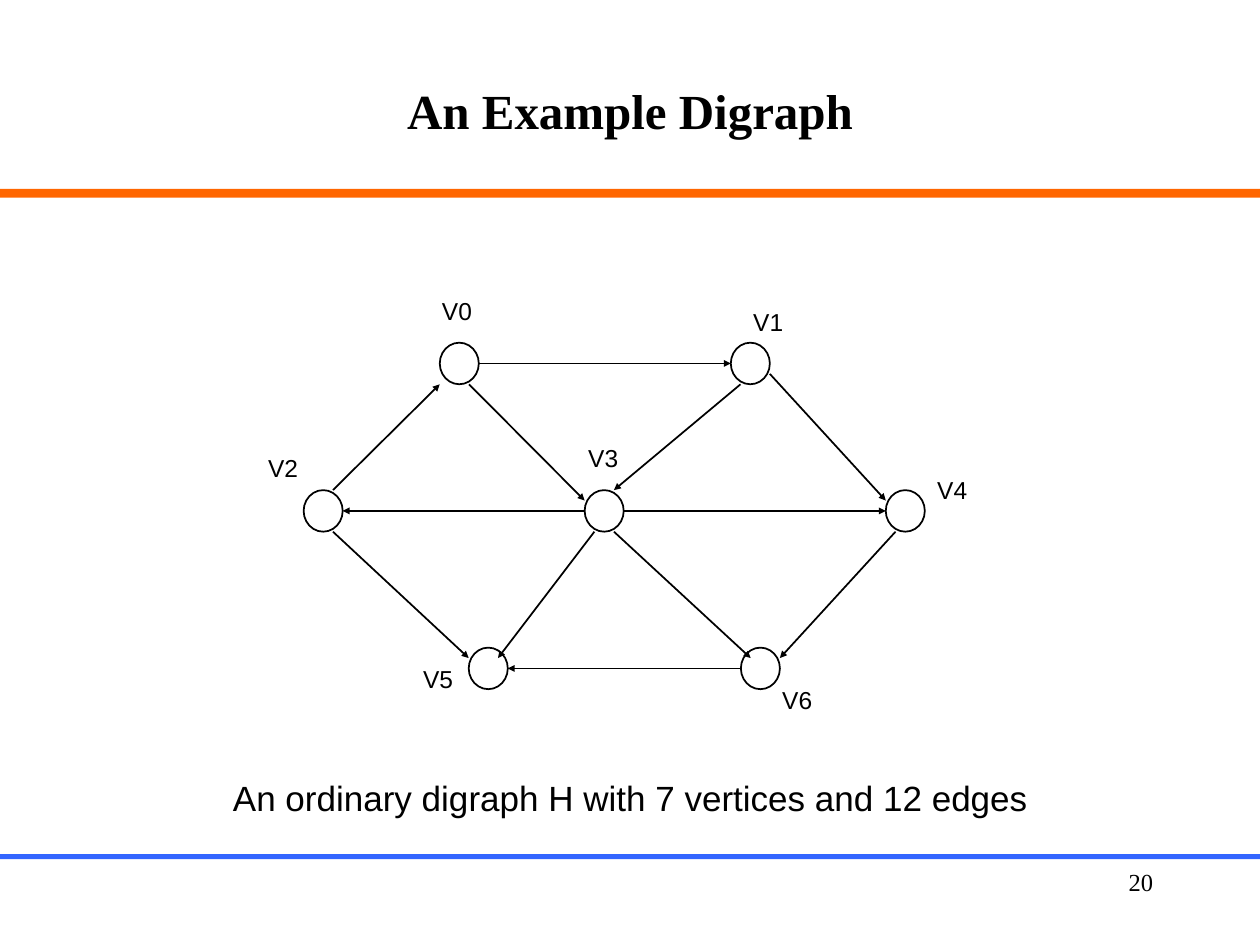
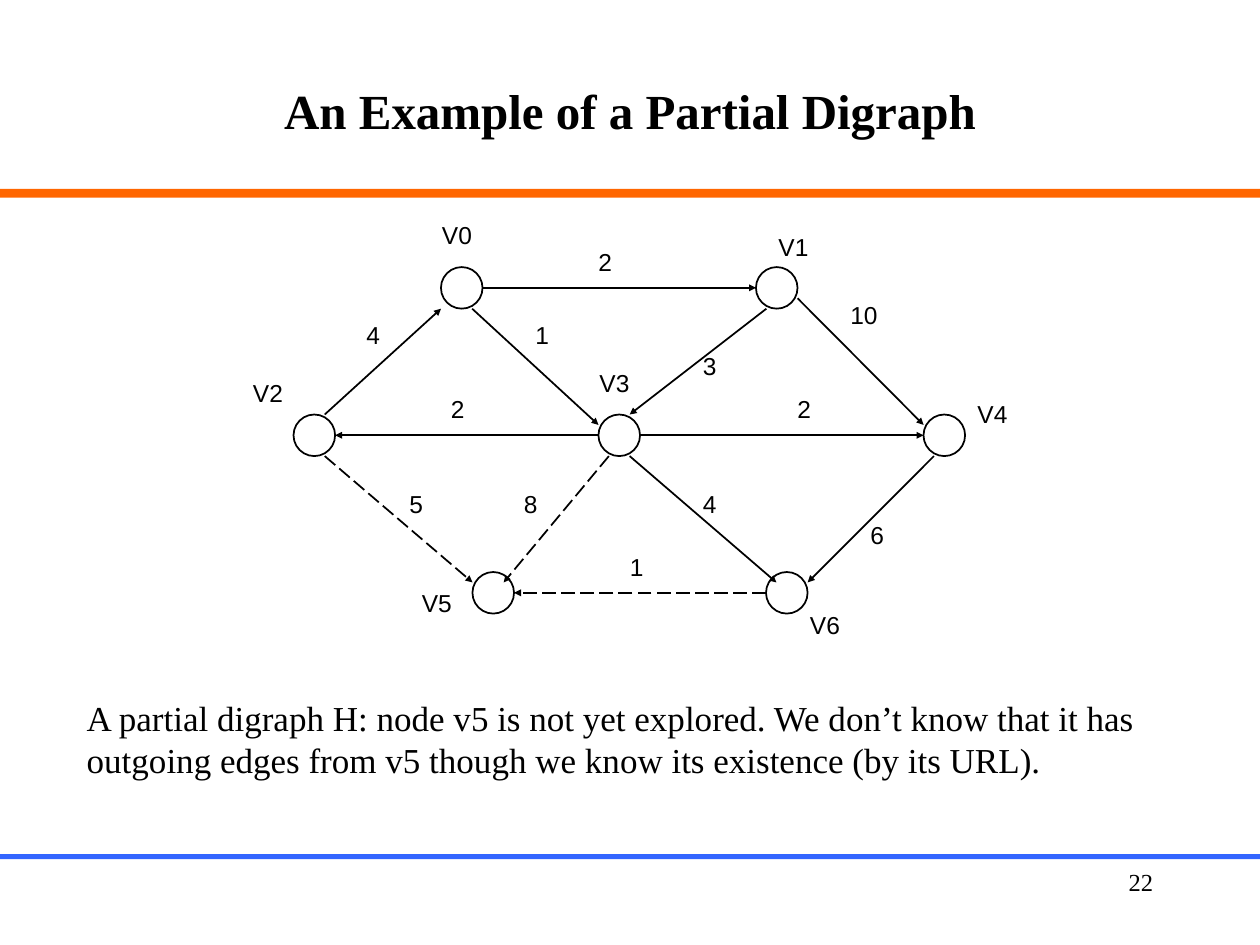
from lxml.etree import SubElement
from pptx import Presentation
from pptx.dml.color import RGBColor
from pptx.enum.dml import MSO_LINE
from pptx.enum.shapes import MSO_CONNECTOR, MSO_SHAPE
from pptx.enum.text import MSO_ANCHOR, MSO_AUTO_SIZE, PP_ALIGN
from pptx.oxml.ns import qn
from pptx.util import Emu, Pt

PIXEL = 9144
BLACK, ORANGE, BLUE = "000000", "FF6600", "3366FF"
SANS, SERIF = "Arial", "Times New Roman"

TITLE_FONT = {"name": SERIF, "size": Pt(28), "bold": True}
SANS_CAPTION_FONT = {"name": SANS, "size": Pt(20)}
SERIF_CAPTION_FONT = {"name": SERIF, "size": Pt(20)}
LABEL_FONT = {"name": SANS, "size": Pt(14)}
NUMBER_FONT = {"name": SERIF, "size": Pt(14)}

BANDS = [(150, 7, ORANGE), (678, 4, BLUE)]

EDGES = [
    ("V0", (1, 0.5), "V1", (0, 0.5)),
    ("V1", (1, 0.75), "V4", (0, 0.25)),
    ("V3", (1, 0.5), "V4", (0, 0.5)),
    ("V3", (0, 0.5), "V2", (1, 0.5)),
    ("V2", (0.75, 1), "V5", (0, 0.25)),
    ("V6", (0, 0.5), "V5", (1, 0.5)),
    ("V4", (0.25, 1), "V6", (1, 0.25)),
    ("V3", (0.25, 1), "V5", (0.75, 0.25)),
    ("V3", (0.75, 1), "V6", (0.25, 0.25)),
    ("V0", (0.75, 1), "V3", (0, 0.25)),
    ("V1", (0.25, 1), "V3", (0.75, 0)),
    ("V2", (0.75, 0), "V0", (0, 1)),
]

ORDINARY_VERTICES = {
    "V0": (349, 272), "V1": (580, 272), "V2": (241, 389), "V3": (464, 389),
    "V4": (703, 389), "V5": (372, 514), "V6": (588, 514),
}
ORDINARY_NAMES = [
    ("V0", 341, 230), ("V1", 588, 239), ("V2", 203, 355), ("V3", 457, 347),
    ("V4", 734, 372), ("V5", 326, 522), ("V6", 611, 539),
]
PARTIAL_VERTICES = {
    "V0": (350, 212), "V1": (600, 212), "V2": (233, 329), "V3": (475, 329),
    "V4": (733, 329), "V5": (375, 454), "V6": (608, 454),
}
PARTIAL_NAMES = [
    ("V0", 341, 170), ("V1", 608, 179), ("V2", 191, 295), ("V3", 466, 287),
    ("V4", 766, 312), ("V5", 325, 462), ("V6", 633, 479),
]
PARTIAL_WEIGHTS = [
    ("2", 465, 191), ("4", 281, 249), ("2", 348, 308), ("5", 315, 383),
    ("1", 490, 433), ("8", 406, 383), ("4", 548, 383), ("10", 665, 233),
    ("3", 548, 274), ("2", 623, 308), ("6", 681, 408), ("1", 415, 249),
]


def px(*lengths):
    return [Emu(round(length * PIXEL)) for length in lengths]


def color(value):
    return RGBColor.from_string(value)


def set_attributes(target, values):
    for name, value in values.items():
        setattr(target, name, value)


def write(shape, text, font, align=PP_ALIGN.LEFT):
    paragraph = shape.text_frame.paragraphs[0]
    paragraph.text = text
    paragraph.alignment = align
    set_attributes(paragraph.font, font)
    paragraph.font.color.rgb = color(BLACK)


def add_text(shapes, box, text, font, align=PP_ALIGN.LEFT, wrap=True):
    shape = shapes.add_textbox(*px(*box))
    set_attributes(shape.text_frame, {
        "word_wrap": wrap,
        "auto_size": MSO_AUTO_SIZE.NONE if wrap else MSO_AUTO_SIZE.SHAPE_TO_FIT_TEXT,
    })
    write(shape, text, font, align)


def add_band(slide, top, height, fill):
    band = slide.shapes.add_shape(MSO_SHAPE.RECTANGLE, *px(0, top, 1000, height))
    band.shadow.inherit = False
    band.fill.solid()
    band.fill.fore_color.rgb = color(fill)
    band.line.fill.background()


def add_vertex(shapes, left, top, width, height):
    vertex = shapes.add_shape(MSO_SHAPE.OVAL, *px(left, top, width, height))
    vertex.shadow.inherit = False
    vertex.fill.background()
    vertex.line.color.rgb = color(BLACK)
    vertex.line.width = Pt(1)


def add_edge(shapes, start, end, dashed):
    edge = shapes.add_connector(MSO_CONNECTOR.STRAIGHT, *px(*start, *end))
    edge.line.color.rgb = color(BLACK)
    edge.line.width = Pt(1)
    if dashed:
        edge.line.dash_style = MSO_LINE.LONG_DASH
    properties = edge.element.spPr
    SubElement(properties.find(qn("a:ln")), qn("a:tailEnd"), type="triangle", w="sm", len="sm")
    SubElement(properties, qn("a:effectLst"))


def add_digraph(slide, vertices, size, names, weights=(), unexplored=None):
    shapes = slide.shapes.add_group_shape().shapes

    def end_point(vertex, fractions):
        return [corner + length * fraction
                for corner, length, fraction in zip(vertices[vertex], size, fractions)]

    for position in vertices.values():
        add_vertex(shapes, *position, *size)
    for source, source_end, target, target_end in EDGES:
        add_edge(shapes, end_point(source, source_end), end_point(target, target_end),
                 target == unexplored)
    for text, left, top in names:
        add_text(shapes, (left, top, 44, 34), text, LABEL_FONT, wrap=False)
    for text, left, top in weights:
        add_text(shapes, (left, top, 19 + 12 * len(text), 34), text, LABEL_FONT, wrap=False)


def add_slide(presentation, title, number):
    slide = presentation.slides.add_slide(presentation.slide_layouts[5])
    for band in BANDS:
        add_band(slide, *band)
    heading = slide.shapes.title
    left, top, width, height = px(75, 25, 850, 125)
    set_attributes(heading, {"left": left, "top": top, "width": width, "height": height})
    heading.text_frame.vertical_anchor = MSO_ANCHOR.MIDDLE
    write(heading, title, TITLE_FONT, PP_ALIGN.CENTER)
    add_text(slide.shapes, (717, 683, 208, 50), number, NUMBER_FONT, PP_ALIGN.RIGHT)
    return slide


def main():
    presentation = Presentation()
    presentation.slide_width, presentation.slide_height = px(1000, 750)

    ordinary = add_slide(presentation, "An Example Digraph", "20")
    add_text(ordinary.shapes, (175, 611, 651, 44),
             "An ordinary digraph H with 7 vertices and 12 edges", SANS_CAPTION_FONT, wrap=False)
    add_digraph(ordinary, ORDINARY_VERTICES, (31, 33), ORDINARY_NAMES)

    partial = add_slide(presentation, "An Example of a Partial Digraph", "22")
    add_text(partial.shapes, (59, 548, 906, 77),
             "A partial digraph H: node v5 is not yet explored. We don’t know that it has "
             "outgoing edges from v5 though we know its existence (by its URL).",
             SERIF_CAPTION_FONT)
    add_digraph(partial, PARTIAL_VERTICES, (33, 33), PARTIAL_NAMES, PARTIAL_WEIGHTS, "V5")

    presentation.save("out.pptx")


if __name__ == "__main__":
    main()
